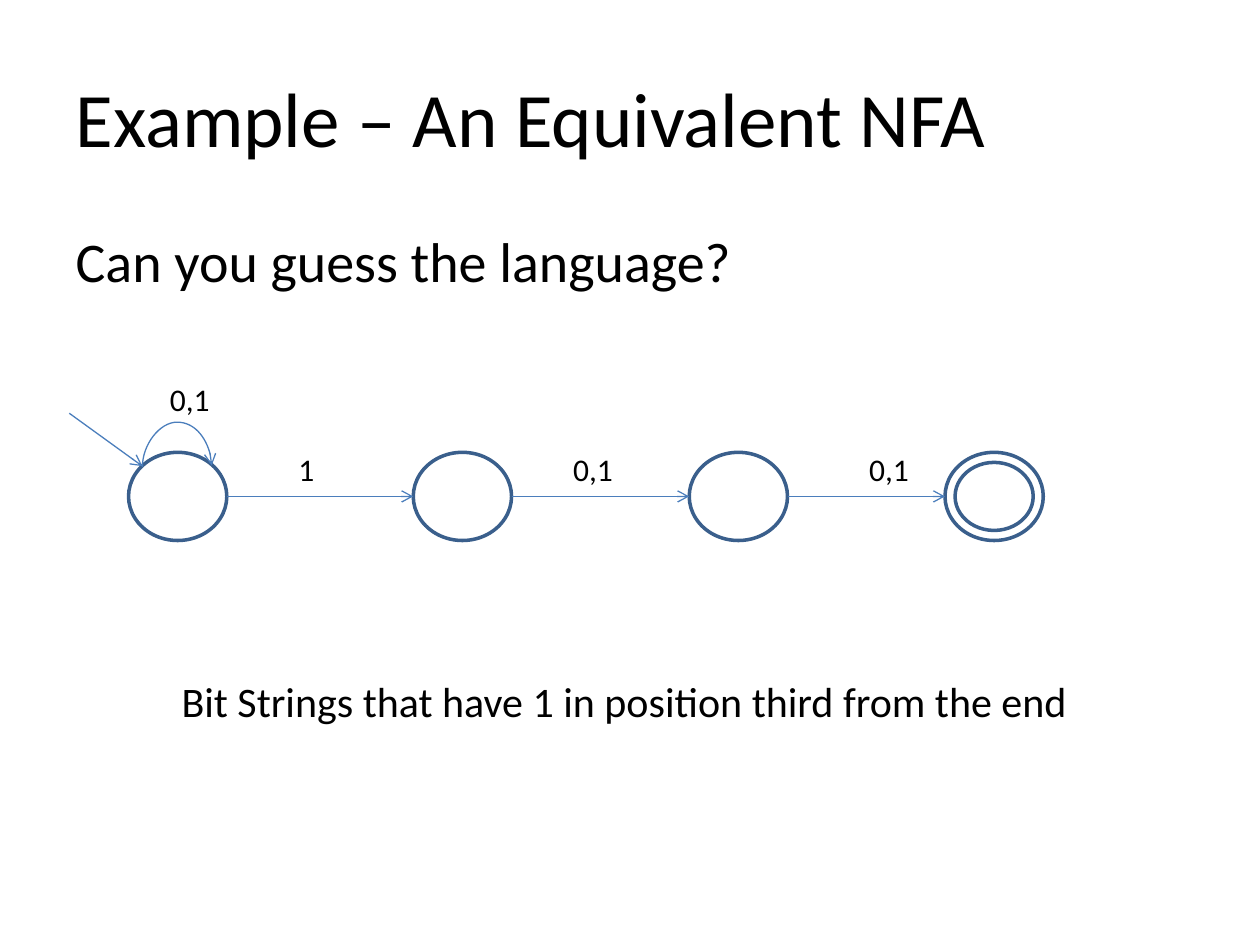
from lxml.etree import SubElement
from pptx import Presentation
from pptx.dml.color import RGBColor
from pptx.enum.shapes import MSO_CONNECTOR as CONN, MSO_SHAPE as SHAPE
from pptx.enum.text import MSO_ANCHOR as ANCHOR, PP_ALIGN as ALIGN
from pptx.oxml.ns import qn
from pptx.util import Inches, Pt

STATE_LINE, ARROW_LINE, BLACK = "3A5F8C", "4B7EBC", "000000"
STATE_W, STATE_H = 0.78, 0.7


def rgb(value):
    """Turn a hex string into a colour."""
    return RGBColor.from_string(value)


def place(sp, box):
    """Move a shape to a box given in inches."""
    sp.left, sp.top, sp.width, sp.height = map(Inches, box)


def write(sp, text, size=18, color=BLACK, align=ALIGN.LEFT, anchor=ANCHOR.TOP):
    """Put one formatted paragraph into a shape and return it."""
    tf = sp.text_frame
    tf.word_wrap = True
    tf.vertical_anchor = anchor
    p = tf.paragraphs[0]
    p.alignment = align
    r = p.add_run()
    r.text = text
    r.font.name, r.font.size = "Calibri", Pt(size)
    r.font.color.rgb = rgb(color)
    return p


def add_text(slide, text, box, **fmt):
    """Add a text box with one paragraph."""
    sp = slide.shapes.add_textbox(*map(Inches, box))
    write(sp, text, **fmt)


def add_ring(slide, box):
    """Draw an unfilled state outline."""
    sp = slide.shapes.add_shape(SHAPE.OVAL, *map(Inches, box))
    sp.shadow.inherit = False
    sp.fill.background()
    sp.line.color.rgb = rgb(STATE_LINE)
    sp.line.width = Pt(2)


def add_arrow(slide, start, end, kind=CONN.STRAIGHT):
    """Draw a thin connector with an open arrowhead at its end."""
    cxn = slide.shapes.add_connector(kind, *map(Inches, (*start, *end)))
    cxn.line.color.rgb = rgb(ARROW_LINE)
    cxn.line.width = Pt(0.75)
    SubElement(cxn.line._get_or_add_ln(), qn("a:tailEnd"), type="arrow")
    SubElement(cxn._element.spPr, qn("a:effectLst"))
    return cxn


def add_loop(slide, left, y, span, rise):
    """Draw a curved arrow that rises from a state and returns to it."""
    thick = 0.01
    x, top = left + span / 2 - thick / 2, y - span / 2
    cxn = add_arrow(slide, (x + thick, top + span), (x, top), CONN.CURVE)
    sp_pr = cxn._element.spPr
    sp_pr.find(qn("a:xfrm")).set("rot", "5400000")
    geom = sp_pr.find(qn("a:prstGeom"))
    guides = geom.find(qn("a:avLst"))
    if guides is None:
        guides = SubElement(geom, qn("a:avLst"))
    ratio = round(rise / thick * 100000)
    SubElement(guides, qn("a:gd"), name="adj1", fmla=f"val {ratio}")


def add_heading(slide, title_box, body_box):
    """Fill the title and the question."""
    title, body = slide.placeholders
    place(title, title_box)
    write(title, "Example – An Equivalent NFA", size=44, anchor=ANCHOR.MIDDLE)
    place(body, body_box)
    p = write(body, "Can you guess the language?", size=32)
    p_pr = p._p.get_or_add_pPr()
    p_pr.set("marL", str(Inches(0.38)))
    p_pr.set("indent", str(-Inches(0.38)))
    SubElement(p_pr, qn("a:buNone"))
    p.space_before = Pt(0)


def add_automaton(slide, left, top):
    """Draw the four states with their labelled transitions."""
    states = [left + dx for dx in (0, 2.26, 4.45, 6.48)]
    middle = top + STATE_H / 2
    for x in states:
        add_ring(slide, (x, top, STATE_W, STATE_H))
    inset = 0.08
    add_ring(slide, (states[-1] + inset, top + inset,
                     STATE_W - 2 * inset, STATE_H - 2 * inset))

    labels = (("1", 1.25), ("0,1", 3.43), ("0,1", 5.78))
    for x, target, (text, dx) in zip(states, states[1:], labels):
        add_arrow(slide, (x + STATE_W, middle), (target, middle))
        add_text(slide, text, (left + dx, top - 0.07, 0.55, 0.4))

    entry = left + 0.11, top + 0.11
    add_arrow(slide, (left - 0.47, top - 0.31), entry)
    add_loop(slide, *entry, span=0.55, rise=0.36)
    add_text(slide, "0,1", (left + 0.23, top - 0.62, 0.55, 0.4))


def main():
    """Build the slide and save it."""
    prs = Presentation()
    prs.slide_width, prs.slide_height = Inches(10), Inches(7.5)
    slide = prs.slides.add_slide(prs.slide_layouts[1])
    add_heading(slide, (0.5, 0.3, 9, 1.25), (0.5, 1.75, 9, 4.95))
    add_automaton(slide, 1.02, 3.59)
    add_text(slide, "Bit Strings that have 1 in position third from the end",
             (1.09, 5.25, 7.73, 0.62), size=24, align=ALIGN.CENTER,
             anchor=ANCHOR.MIDDLE)
    prs.save("out.pptx")


if __name__ == "__main__":
    main()
